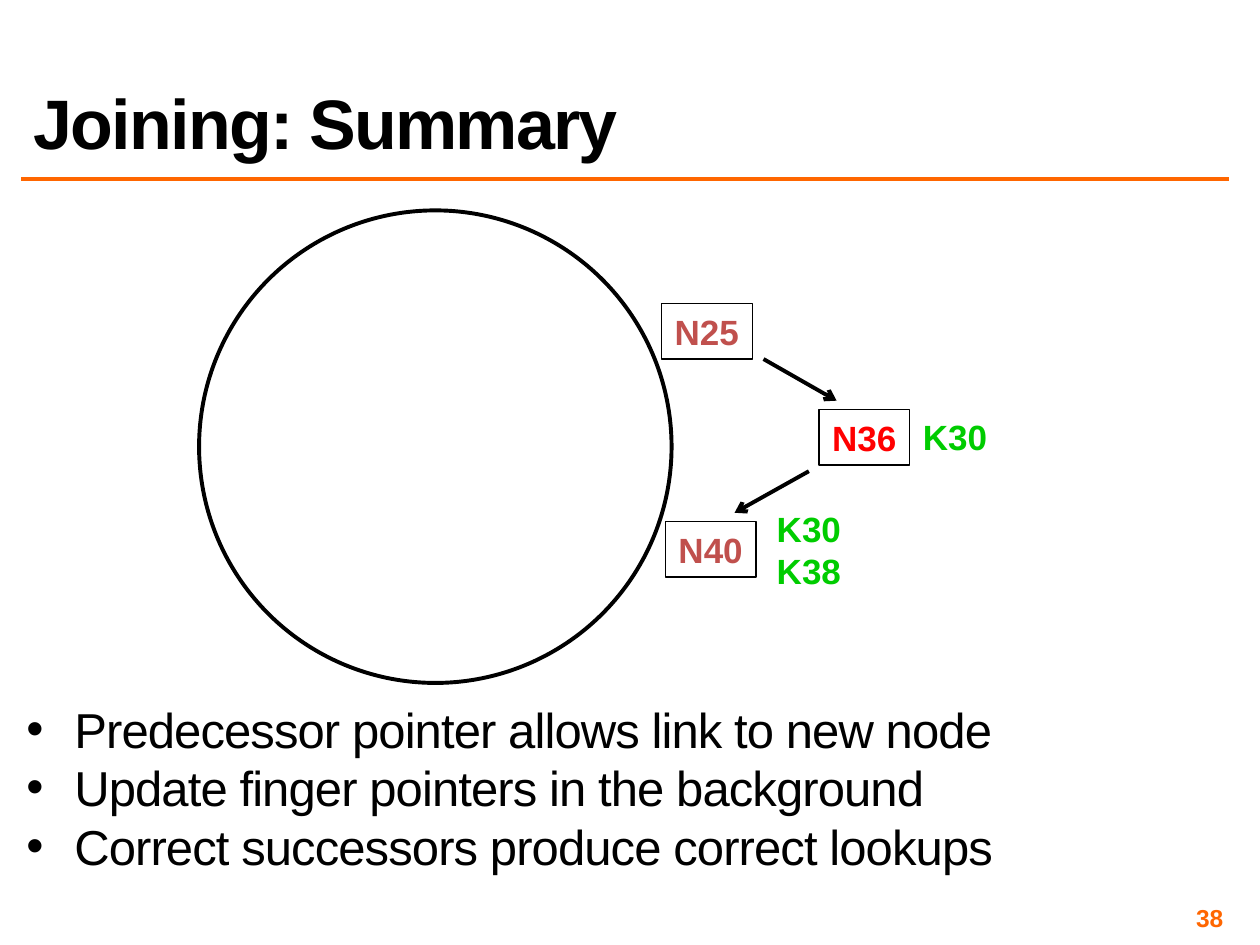
import pptx
import pptx.util
import pptx.dml.color
import pptx.enum.shapes
import pptx.enum.text
import pptx.oxml.ns
from dataclasses import dataclass
from lxml import etree

Inches, Pt = pptx.util.Inches, pptx.util.Pt
ALIGN = pptx.enum.text.PP_ALIGN
ANCHOR = pptx.enum.text.MSO_ANCHOR
SHAPE = pptx.enum.shapes.MSO_SHAPE
qn = pptx.oxml.ns.qn


@dataclass(frozen=True)
class Theme:
    font: str = "Arial"
    ink: str = "000000"
    accent: str = "FF6600"
    node: str = "C0504D"
    fresh: str = "FF0000"
    key: str = "00CC00"
    title: int = 40
    body: int = 28
    label: int = 20
    page: int = 14


THEME = Theme()
NODE = (0.72, 0.44)


def rgb(code):
    return pptx.dml.color.RGBColor.from_string(code)


def put(item, form):
    """Set each attribute named in a dict of format values."""
    for name, value in form.items():
        setattr(item, name, value)


def write(shape, lines, size, color, bold=True, track=0, frame=None, para=None):
    """Fill a shape with one paragraph per line."""
    tf = shape.text_frame
    put(tf, {"word_wrap": True, **(frame or {})})
    for i, line in enumerate(lines):
        p = tf.add_paragraph() if i else tf.paragraphs[0]
        put(p, para or {})
        run = p.add_run()
        run.text = line
        put(run.font, {"name": THEME.font, "size": Pt(size), "bold": bold})
        run.font.color.rgb = rgb(color)
        if track:
            run.font._element.set("spc", str(track))
    return tf


def text_box(slide, box, *args, **form):
    shape = slide.shapes.add_textbox(*map(Inches, box))
    return write(shape, *args, **form)


def outline(slide, kind, box, width):
    shape = slide.shapes.add_shape(kind, *map(Inches, box))
    shape.shadow.inherit = False
    shape.fill.background()
    shape.line.color.rgb = rgb(THEME.ink)
    shape.line.width = Pt(width)
    return shape


def line(slide, ends, color, width, arrow=False):
    kind = pptx.enum.shapes.MSO_CONNECTOR.STRAIGHT
    link = slide.shapes.add_connector(kind, *map(Inches, ends))
    link.line.color.rgb = rgb(color)
    link.line.width = Pt(width)
    if arrow:
        tail = etree.SubElement(link.line._get_or_add_ln(), qn("a:tailEnd"))
        tail.set("type", "arrow")
    etree.SubElement(link._element.spPr, qn("a:effectLst"))


def margins(gap):
    sides = ("left", "right", "top", "bottom")
    return {f"margin_{side}": Inches(gap) for side in sides}


def header(slide, box):
    """Title with the rule under it."""
    x, y, w, h = box
    text_box(slide, box, ["Joining: Summary"], THEME.title, THEME.ink, track=-100,
             frame={"vertical_anchor": ANCHOR.BOTTOM}, para={"line_spacing": 0.8})
    rule = y + h + 0.08
    line(slide, (x, rule, x + w, rule), THEME.accent, 2)


def ring(slide, box):
    """Circle of nodes, with the joining node beside it."""
    x, y, w, h = box
    outline(slide, SHAPE.OVAL, box, 2.25)
    center = {"alignment": ALIGN.CENTER}
    tight = {"word_wrap": False}

    # Nodes
    for name, dx, dy, color in (("N25", 3.67, 0.74, THEME.node),
                                ("N36", 4.92, 1.58, THEME.fresh),
                                ("N40", 3.7, 2.47, THEME.node)):
        node = outline(slide, SHAPE.RECTANGLE, (x + dx, y + dy, *NODE), 0.75)
        write(node, [name], THEME.label, color, frame=tight, para=center)

    # Successor arrows
    for x1, y1, x2, y2 in ((4.48, 1.18, 5.06, 1.51), (4.84, 2.07, 4.25, 2.4)):
        line(slide, (x + x1, y + y1, x + x2, y + y2), THEME.ink, 2.25, arrow=True)

    # Keys held by the nodes
    for keys, dx, dy, high in ((["K30"], 5.64, 1.58, 0.44),
                               (["K30", "K38"], 4.48, 2.31, 0.77)):
        text_box(slide, (x + dx, y + dy, NODE[0], high), keys, THEME.label,
                 THEME.key, frame=tight, para=center)


def points(slide, box):
    """Bulleted list of takeaways."""
    lines = ["Predecessor pointer allows link to new node",
             "Update finger pointers in the background",
             "Correct successors produce correct lookups"]
    tf = text_box(slide, box, lines, THEME.body, THEME.ink, bold=False, track=-50,
                  frame=margins(0.04),
                  para={"line_spacing": 0.8, "space_before": Pt(6.5)})
    indent = Inches(0.38)
    for p in tf.paragraphs:
        props = p._p.get_or_add_pPr()
        props.set("marL", str(indent))
        props.set("indent", str(-indent))
        etree.SubElement(props, qn("a:buFont")).set("typeface", THEME.font)
        etree.SubElement(props, qn("a:buChar")).set("char", "•")


def footer(slide, box):
    """Page number."""
    text_box(slide, box, ["38"], THEME.page, THEME.accent,
             frame={**margins(0.04), "vertical_anchor": ANCHOR.MIDDLE},
             para={"alignment": ALIGN.RIGHT})


def main():
    deck = pptx.Presentation()
    put(deck, {"slide_width": Inches(10), "slide_height": Inches(7.5)})
    slide = deck.slides.add_slide(deck.slide_layouts[6])
    header(slide, (0.17, 0.17, 9.58, 1.17))
    ring(slide, (1.58, 1.67, 3.75, 3.75))
    points(slide, (0.17, 5.6, 9.58, 1.48))
    footer(slide, (7.42, 7.17, 2.33, 0.23))
    deck.save("out.pptx")


if __name__ == "__main__":
    main()
